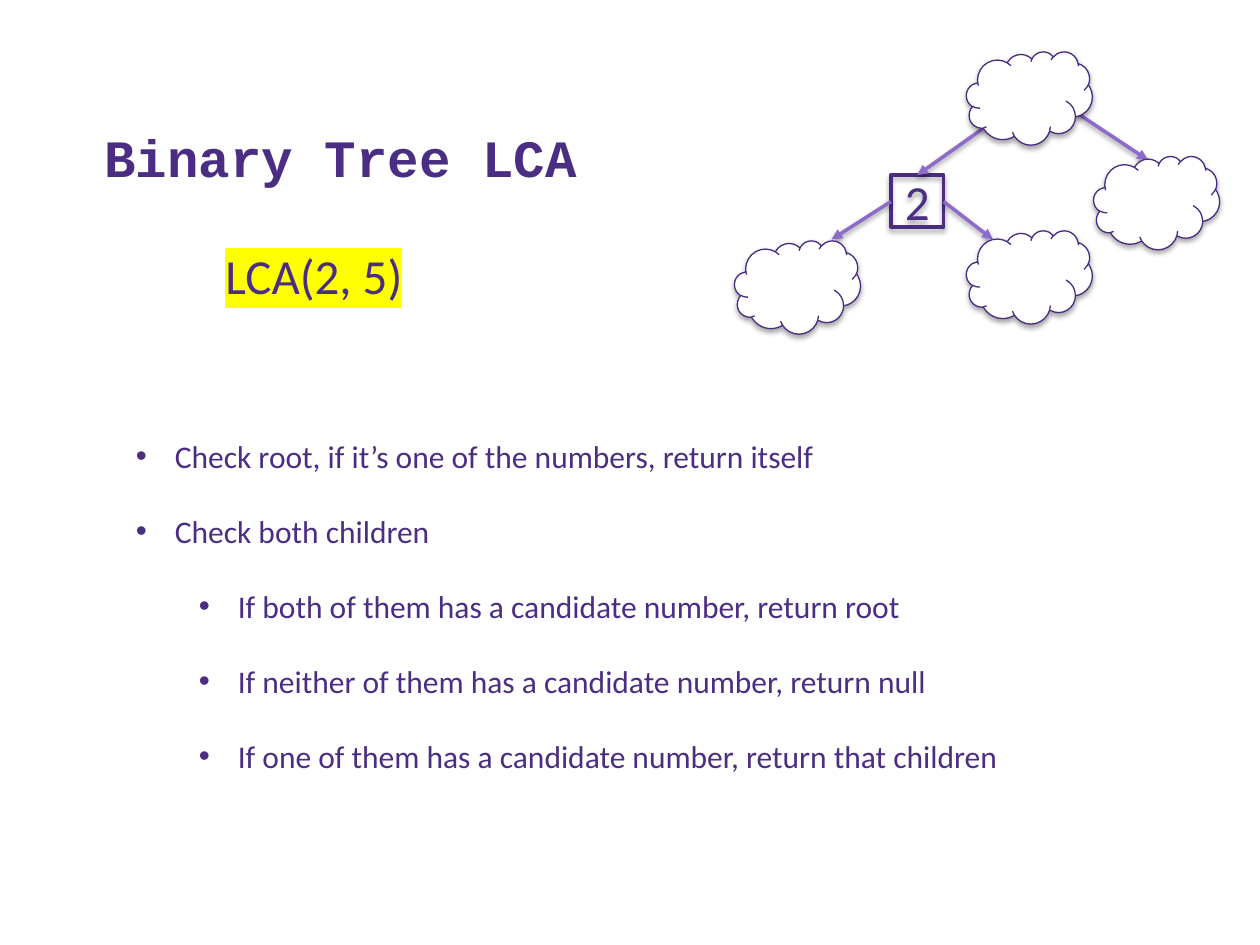
from dataclasses import dataclass

from lxml import etree
from pptx import Presentation
from pptx.dml.color import RGBColor
from pptx.enum.shapes import MSO_CONNECTOR, MSO_SHAPE
from pptx.enum.text import MSO_ANCHOR, PP_ALIGN
from pptx.oxml.ns import qn
from pptx.util import Inches, Pt

PURPLE = RGBColor(0x4B, 0x2E, 0x83)
OUTLINE = RGBColor(0x49, 0x2B, 0x82)
LILAC = RGBColor(0x8C, 0x6B, 0xCB)
WHITE = RGBColor(0xFF, 0xFF, 0xFF)
YELLOW = RGBColor(0xFF, 0xFF, 0x00)
BLACK = RGBColor(0x00, 0x00, 0x00)

STRAIGHT = MSO_CONNECTOR.STRAIGHT
CLOUD = MSO_SHAPE.CLOUD
RECTANGLE = MSO_SHAPE.RECTANGLE
LEFT = PP_ALIGN.LEFT
CENTER = PP_ALIGN.CENTER
TOP = MSO_ANCHOR.TOP
MIDDLE = MSO_ANCHOR.MIDDLE
BOTTOM = MSO_ANCHOR.BOTTOM

SLIDE_WIDTH = Inches(10)
SLIDE_HEIGHT = Inches(7.5)
COLUMNS = 100
ROWS = 75
CLOUD_COLUMNS = 10
CLOUD_ROWS = 7.4
BULLET_HANG = Inches(0.31)
LEVEL_STEP = Inches(0.5)
BULLET_GAP = Pt(21.2)


@dataclass(frozen=True)
class Point:
    column: float
    row: float


@dataclass(frozen=True)
class Area:
    column: float
    row: float
    columns: float
    rows: float


@dataclass(frozen=True)
class Edge:
    start: Point
    end: Point


@dataclass(frozen=True)
class Bullet:
    text: str
    level: int = 0


CLOUDS = [Point(76.7, 4.1), Point(58.3, 19.1), Point(76.7, 18.3), Point(86.8, 12.4)]
NODE = Area(70.7, 13.9, 4.2, 4.1)
EDGES = [
    Edge(Point(84, 8), Point(91.1, 12.7)),
    Edge(Point(78.3, 10), Point(72.8, 13.9)),
    Edge(Point(70.7, 16), Point(66, 19)),
    Edge(Point(74.9, 16), Point(78.8, 19)),
]
BULLETS = [
    Bullet("Check root, if it’s one of the numbers, return itself"),
    Bullet("Check both children"),
    Bullet("If both of them has a candidate number, return root", 1),
    Bullet("If neither of them has a candidate number, return null", 1),
    Bullet("If one of them has a candidate number, return that children", 1),
]


def across(columns: float) -> int:
    return round(SLIDE_WIDTH * columns / COLUMNS)


def down(rows: float) -> int:
    return round(SLIDE_HEIGHT * rows / ROWS)


def place(area: Area) -> tuple[int, int, int, int]:
    return across(area.column), down(area.row), across(area.columns), down(area.rows)


def add_color(parent, color: RGBColor):
    return etree.SubElement(parent, qn("a:srgbClr"), val=str(color))


def add_shadow(item, opacity: int, distance: float) -> None:
    effects = etree.SubElement(item._element.spPr, qn("a:effectLst"))
    shadow = etree.SubElement(
        effects, qn("a:outerShdw"), blurRad=str(Pt(3.1)), dist=str(Pt(distance)),
        dir="5400000", rotWithShape="0",
    )
    etree.SubElement(add_color(shadow, BLACK), qn("a:alpha"), val=str(opacity * 1000))


def write_text(para, text: str, *, size: float, font: str = "Calibri", bold: bool = False,
               align: PP_ALIGN = LEFT, highlight: RGBColor | None = None) -> None:
    para.alignment = align
    span = para.add_run()
    span.text = text
    span.font.size = Pt(size)
    span.font.bold = bold
    span.font.color.rgb = PURPLE
    span.font.name = font
    if highlight is not None:
        mark = etree.Element(qn("a:highlight"))
        add_color(mark, highlight)
        span._r.rPr.find(qn("a:latin")).addprevious(mark)


def add_box(page, area: Area, *, anchor: MSO_ANCHOR = TOP, wrap: bool = True):
    frame = page.shapes.add_textbox(*place(area)).text_frame
    frame.word_wrap = wrap
    frame.vertical_anchor = anchor
    return frame


def add_node(tree, kind: MSO_SHAPE, area: Area, weight: float):
    node = tree.shapes.add_shape(kind, *place(area))
    node.line.color.rgb = OUTLINE
    node.line.width = Pt(weight)
    add_shadow(node, 35, 1.8)
    return node


def add_cloud(tree, corner: Point) -> None:
    cloud = add_node(tree, CLOUD, Area(corner.column, corner.row, CLOUD_COLUMNS, CLOUD_ROWS), 0.75)
    cloud.fill.solid()
    cloud.fill.fore_color.rgb = WHITE


def add_number(tree, text: str, area: Area) -> None:
    node = add_node(tree, RECTANGLE, area, 2)
    node.fill.background()
    frame = node.text_frame
    frame.margin_left = frame.margin_right = 0
    frame.vertical_anchor = MIDDLE
    write_text(frame.paragraphs[0], text, size=28, align=CENTER)


def add_edge(tree, edge: Edge) -> None:
    arrow = tree.shapes.add_connector(
        STRAIGHT, across(edge.start.column), down(edge.start.row),
        across(edge.end.column), down(edge.end.row),
    )
    arrow.line.color.rgb = LILAC
    arrow.line.width = Pt(2)
    etree.SubElement(arrow.line._get_or_add_ln(), qn("a:tailEnd"), type="triangle")
    add_shadow(arrow, 38, 1.6)


def add_bullet(para, bullet: Bullet) -> None:
    para.level = bullet.level
    properties = para._p.get_or_add_pPr()
    properties.set("marL", str(BULLET_HANG + bullet.level * LEVEL_STEP))
    properties.set("indent", str(-BULLET_HANG))
    etree.SubElement(properties, qn("a:buFont"), typeface="Arial")
    etree.SubElement(properties, qn("a:buChar"), char="•")
    write_text(para, bullet.text, size=18)


def main() -> None:
    deck = Presentation()
    deck.slide_width = SLIDE_WIDTH
    deck.slide_height = SLIDE_HEIGHT
    page = deck.slides.add_slide(deck.slide_layouts[6])

    title = add_box(page, Area(7.3, 4.1, 89.5, 10.8), anchor=BOTTOM)
    title.margin_bottom = 0
    write_text(title.paragraphs[0], "Binary Tree LCA", size=30, font="Courier New", bold=True)

    query = add_box(page, Area(16.9, 19, 16.2, 5.7), wrap=False)
    write_text(query.paragraphs[0], "LCA(2, 5)", size=28, highlight=YELLOW)

    tree = page.shapes.add_group_shape()
    for edge in EDGES[:1]:
        add_edge(tree, edge)
    add_number(tree, "2", NODE)
    for edge in EDGES[1:]:
        add_edge(tree, edge)
    for corner in CLOUDS:
        add_cloud(tree, corner)

    steps = add_box(page, Area(9.8, 34.2, 71.3, 34.3))
    for index, bullet in enumerate(BULLETS):
        para = steps.add_paragraph() if index else steps.paragraphs[0]
        if index:
            para.space_before = BULLET_GAP
        add_bullet(para, bullet)

    deck.save("out.pptx")


if __name__ == "__main__":
    main()
